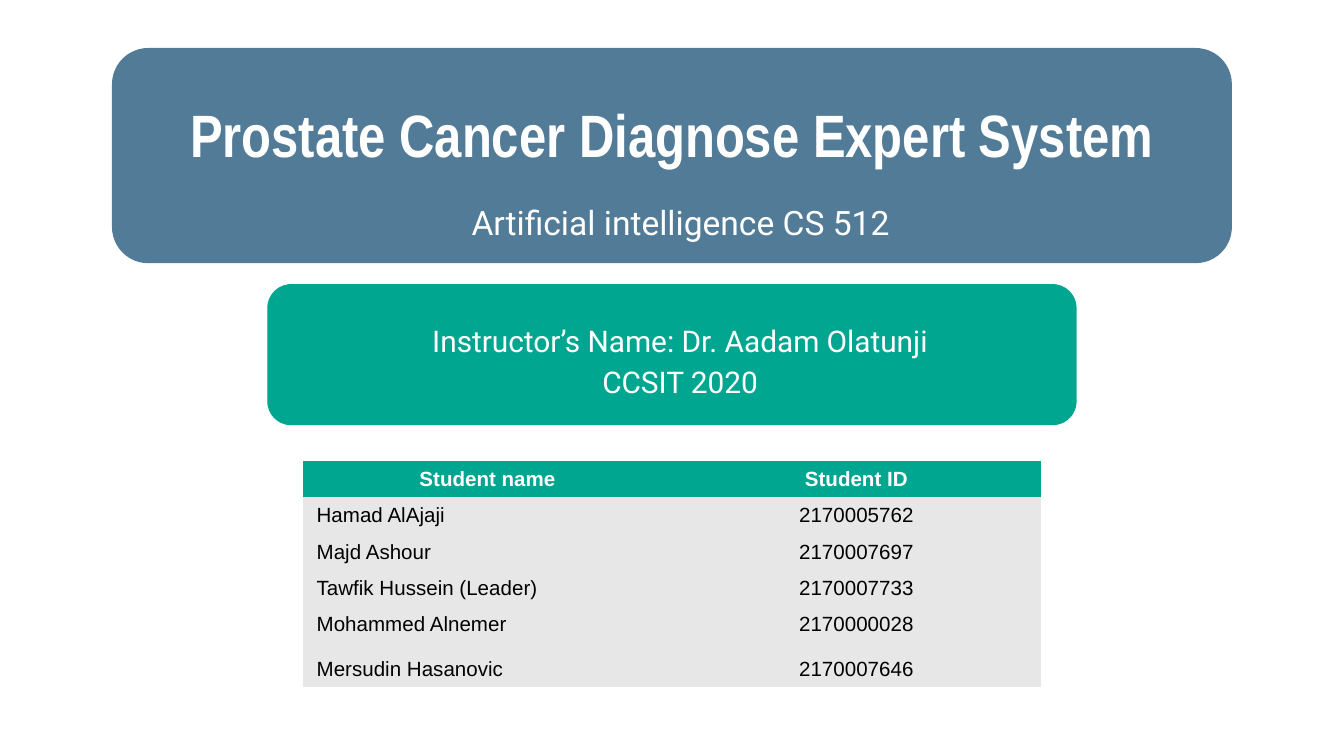
"""Build the title slide of a student project on a diagnosis expert system."""
from pptx import Presentation
from pptx.dml.color import RGBColor
from pptx.enum.shapes import MSO_SHAPE as Shape
from pptx.enum.text import MSO_ANCHOR as Anchor, MSO_AUTO_SIZE as AutoSize, PP_ALIGN as Align
from pptx.oxml.ns import qn
from pptx.util import Cm, Pt

COLORS = {"blue": "517B96", "green": "00A68F", "gray": "E7E7E7",
          "white": "FFFFFF", "black": "000000"}
NO_TABLE_STYLE = "{2D5ABB26-0587-4C30-8999-92F81FD0307C}"
SLIDE_WIDTH, SLIDE_HEIGHT = 25.4, 14.28
ROW_HEIGHT, TALL_ROW_HEIGHT = 0.64, 0.84
STUDENTS = [
    ("Hamad AlAjaji", "2170005762"),
    ("Majd Ashour", "2170007697"),
    ("Tawfik Hussein (Leader)", "2170007733"),
    ("Mohammed Alnemer", "2170000028"),
    ("Mersudin Hasanovic", "2170007646"),
]


def color(name):
    return RGBColor.from_string(COLORS[name])


def write(frame, *lines, size, font="Roboto", ink="white", bold=False,
          align=Align.CENTER, spacing=1.0, hanging=False):
    for index, line in enumerate(lines):
        paragraph = frame.add_paragraph() if index else frame.paragraphs[0]
        paragraph.alignment = align
        paragraph.line_spacing = spacing
        paragraph.space_before = Pt(0)
        if hanging:
            properties = paragraph._p.get_or_add_pPr()
            properties.set("marL", str(Cm(1.27)))
            properties.set("indent", str(-Cm(0.97)))
        run = paragraph.add_run()
        run.text = line
        run.font.size = Pt(size)
        run.font.name = font
        run.font.bold = bold
        run.font.color.rgb = color(ink)


def place(shape, left, top, width, height, anchor=Anchor.TOP):
    shape.left, shape.top = Cm(left), Cm(top)
    shape.width, shape.height = Cm(width), Cm(height)
    frame = shape.text_frame
    frame.word_wrap = True
    frame.auto_size = AutoSize.NONE
    frame.vertical_anchor = anchor
    frame.margin_left = frame.margin_right = Cm(0.25)
    frame.margin_top = frame.margin_bottom = Cm(0.25)
    return frame


def add_panel(slide, top, width, height, fill):
    left = (SLIDE_WIDTH - width) / 2
    panel = slide.shapes.add_shape(Shape.ROUNDED_RECTANGLE, Cm(left), Cm(top),
                                   Cm(width), Cm(height))
    panel.shadow.inherit = False
    panel.fill.solid()
    panel.fill.fore_color.rgb = color(fill)
    panel.line.color.rgb = color(fill)
    panel.line.width = Pt(0.75)
    return panel


def send_to_back(shape):
    shape.element.getparent().insert(2, shape.element)


def add_student_table(slide, left, top, width):
    rows = [("Student name", "Student ID"), *STUDENTS]
    table = slide.shapes.add_table(len(rows), 2, Cm(left), Cm(top), Cm(width),
                                   Cm(ROW_HEIGHT * len(rows))).table
    table._tbl.tblPr.find(qn("a:tableStyleId")).text = NO_TABLE_STYLE
    for row_index, values in enumerate(rows):
        header = row_index == 0
        tall = row_index == len(rows) - 2
        table.rows[row_index].height = Cm(TALL_ROW_HEIGHT if tall else ROW_HEIGHT)
        for column_index, value in enumerate(values):
            cell = table.cell(row_index, column_index)
            cell.fill.solid()
            cell.fill.fore_color.rgb = color("green" if header else "gray")
            centered = header or column_index == 1
            write(cell.text_frame, value, size=11, font="Arial", bold=header,
                  ink="white" if header else "black",
                  align=Align.CENTER if centered else Align.LEFT)


def main():
    presentation = Presentation()
    presentation.slide_width = Cm(SLIDE_WIDTH)
    presentation.slide_height = Cm(SLIDE_HEIGHT)
    slide = presentation.slides.add_slide(presentation.slide_layouts[0])
    title, subtitle = slide.placeholders

    send_to_back(add_panel(slide, 0.92, 21.14, 4.04, "blue"))
    write(place(title, 3.17, 1.27, 19.08, 2.18, Anchor.BOTTOM),
          "Prostate Cancer Diagnose Expert System",
          size=32, font="Arial Narrow", bold=True)
    write(place(subtitle, 8.08, 3.45, 9.27, 1.42),
          "Artificial intelligence CS 512", size=18, spacing=1.15, hanging=True)

    add_panel(slide, 5.38, 15.27, 2.64, "green")
    instructor = slide.shapes.add_textbox(0, 0, 0, 0)
    write(place(instructor, 6.43, 5.74, 12.55, 1.17),
          "Instructor’s Name: Dr. Aadam Olatunji", "CCSIT 2020",
          size=16, spacing=1.15, hanging=True)

    add_student_table(slide, 5.73, 8.71, 13.94)
    presentation.save("out.pptx")


if __name__ == "__main__":
    main()
